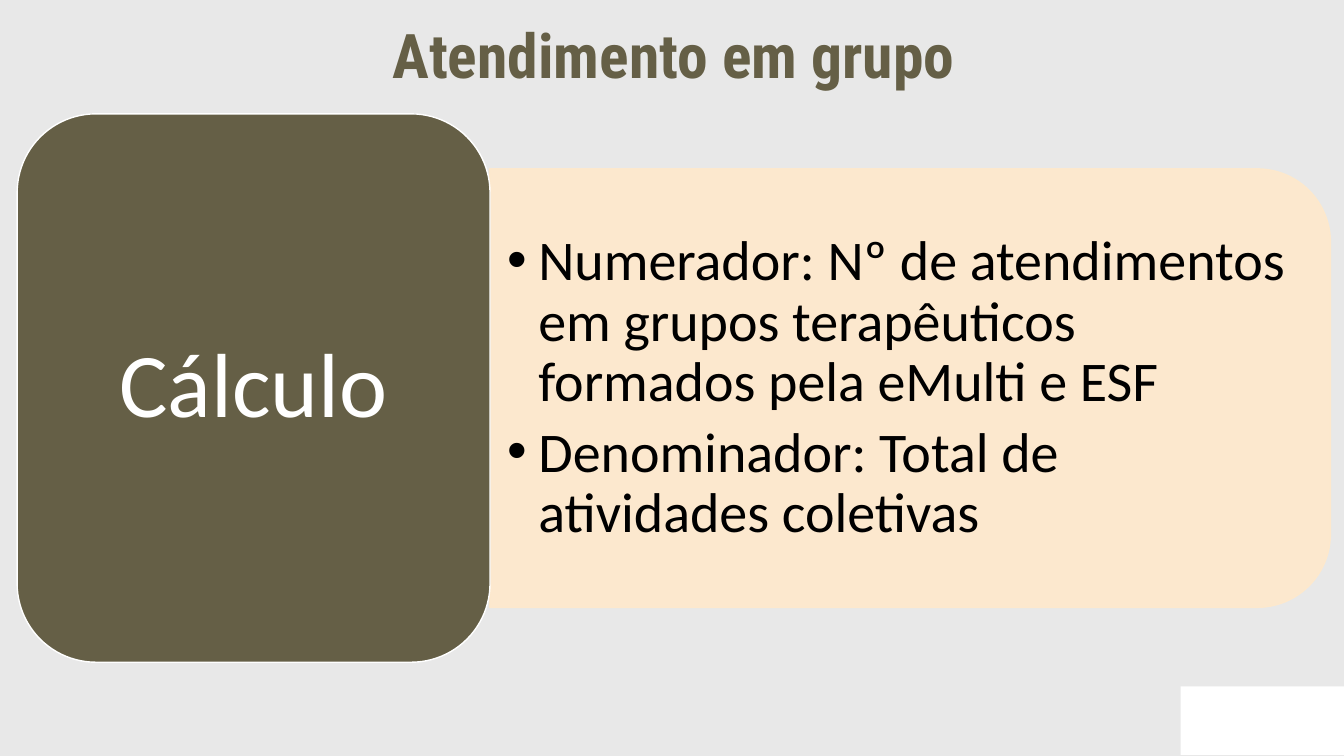
import pptx
import pptx.util
import pptx.dml.color
import pptx.enum.shapes
import pptx.enum.text
import pptx.oxml
import pptx.oxml.ns

Inches = pptx.util.Inches
Pt = pptx.util.Pt
SHAPE = pptx.enum.shapes.MSO_SHAPE
ALIGN = pptx.enum.text.PP_ALIGN

COLORS = {
    "paper": "E8E8E8",
    "olive": "655F46",
    "cream": "FFE8CC",
    "white": "FFFFFF",
    "black": "000000",
}
ITEMS = [
    "Numerador: Nº de atendimentos em grupos terapêuticos formados pela eMulti e ESF",
    "Denominador: Total de atividades coletivas",
]


def tint(name):
    return pptx.dml.color.RGBColor.from_string(COLORS[name])


def place(shape, box):
    shape.left, shape.top, shape.width, shape.height = map(Inches, box)


def add_box(slide, kind, box, fill, line=None):
    shape = slide.shapes.add_shape(kind, *map(Inches, box))
    shape.shadow.inherit = False
    shape.fill.solid()
    shape.fill.fore_color.rgb = tint(fill)
    if line:
        shape.line.color.rgb = tint(line)
        shape.line.width = Pt(1)
    else:
        shape.line.fill.background()
    return shape


def fade(shape, share):
    tag = pptx.oxml.ns.qn("a:srgbClr")
    for color in shape.element.spPr.iter(tag):
        alpha = color.makeelement(pptx.oxml.ns.qn("a:alpha"), {"val": str(share * 1000)})
        color.append(alpha)


def set_frame(shape, side, edge):
    frame = shape.text_frame
    frame.word_wrap = True
    frame.auto_size = pptx.enum.text.MSO_AUTO_SIZE.NONE
    frame.vertical_anchor = pptx.enum.text.MSO_ANCHOR.MIDDLE
    frame.margin_left = frame.margin_right = Inches(side)
    frame.margin_top = frame.margin_bottom = Inches(edge)
    return frame


def add_text(par, text, font, size, color, align, bold=False):
    par.alignment = align
    par.line_spacing = 0.9
    par.space_before = Pt(0)
    run = par.add_run()
    run.text = text
    run.font.name = font
    run.font.size = Pt(size)
    run.font.bold = bold
    run.font.color.rgb = tint(color)


def add_dot(par):
    props = par._p.get_or_add_pPr()
    props.set("marL", str(Inches(0.31)))
    props.set("indent", str(-Inches(0.31)))
    for tag, key, value in (("a:buFont", "typeface", "Arial"), ("a:buChar", "char", "•")):
        props.append(props.makeelement(pptx.oxml.ns.qn(tag), {key: value}))


def add_list(body, items):
    frame = set_frame(body, 0.17, 0.08)
    for index, item in enumerate(items):
        par = frame.paragraphs[0] if index == 0 else frame.add_paragraph()
        par.level = 1
        add_dot(par)
        add_text(par, item, "Calibri", 40, "black", ALIGN.LEFT)
        par.space_after = Pt(7)


def main():
    deck = pptx.Presentation()
    deck.slide_width, deck.slide_height = Inches(13.33), Inches(7.5)
    slide = deck.slides.add_slide(deck.slide_layouts[1])
    slide.background.fill.solid()
    slide.background.fill.fore_color.rgb = tint("paper")

    add_box(slide, SHAPE.RECTANGLE, (11.71, 6.81, 1.62, 0.68), "white")

    title = slide.shapes.title
    place(title, (0.17, 0.15, 13.03, 0.86))
    frame = set_frame(title, 0.1, 0.05)
    add_text(frame.paragraphs[0], "Atendimento em grupo", "Roboto Condensed", 44,
             "olive", ALIGN.CENTER, True)

    panel = add_box(slide, SHAPE.ROUND_2_SAME_RECTANGLE, (6.85, -0.32, 4.35, 8.34),
                    "cream", "cream")
    panel.rotation = 90
    fade(panel, 90)

    body = slide.placeholders[1]
    place(body, (4.86, 1.89, 8.13, 3.93))
    add_list(body, ITEMS)
    panel.element.addnext(body.element)

    card = add_box(slide, SHAPE.ROUNDED_RECTANGLE, (0.17, 1.13, 4.69, 5.44),
                   "olive", "white")
    frame = set_frame(card, 0.27, 0.14)
    add_text(frame.paragraphs[0], "Cálculo", "Calibri", 65, "white", ALIGN.CENTER)

    deck.save("out.pptx")


if __name__ == "__main__":
    main()
